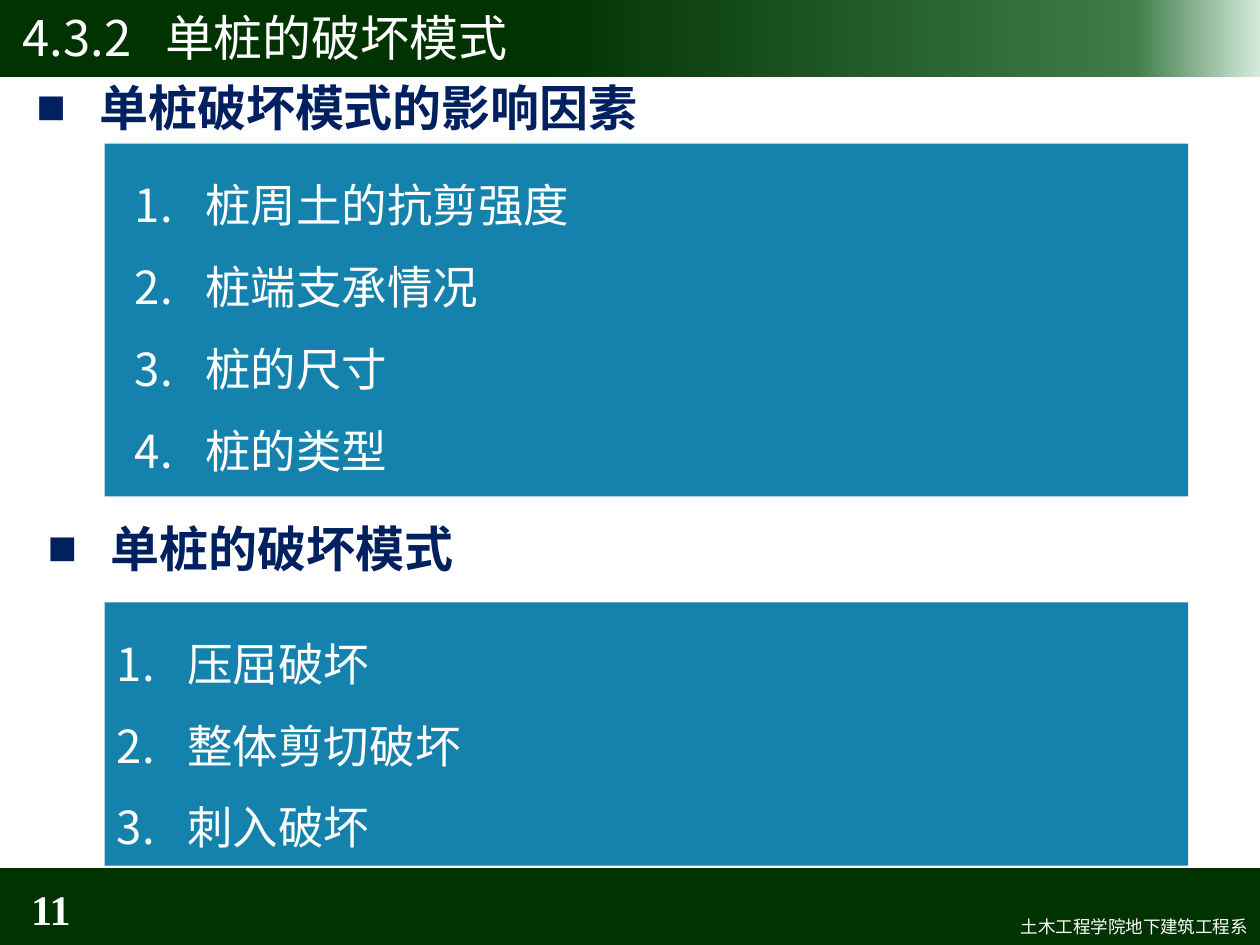
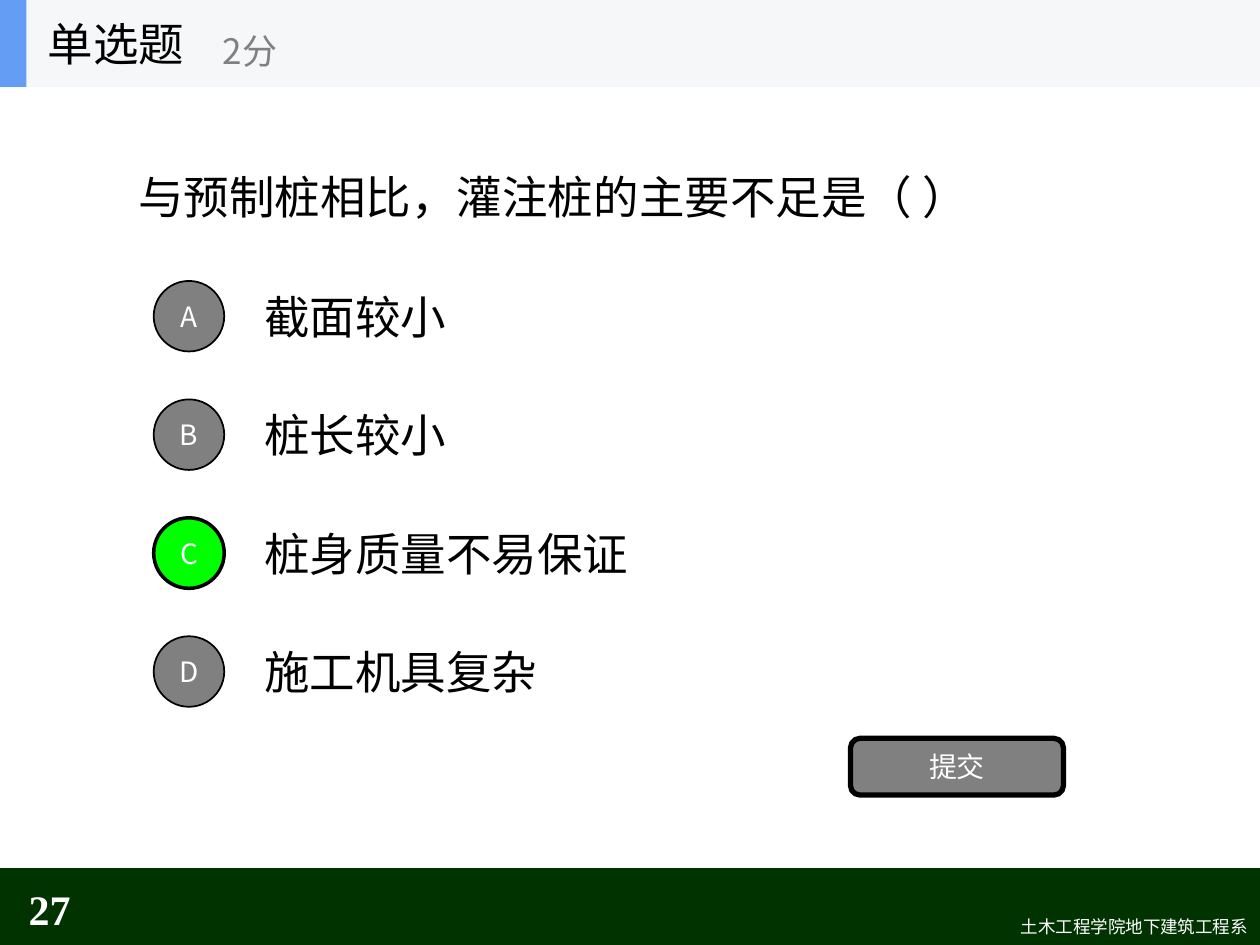
from lxml import etree
from pptx import Presentation
from pptx import util as u
from pptx.dml.color import RGBColor
from pptx.enum import shapes, text
from pptx.oxml import ns

THEME = {
    "sans": "Noto Sans CJK SC", "serif": "Times New Roman",
    "green": "003300", "panel": "1482AC", "navy": "002060", "white": "FFFFFF", "black": "000000",
    "gray": "808080", "correct": "00FF00", "pale": "F6F7F8", "accent": "639EF4",
    "header_stops": [(43, "003300"), (90, "3F7C49"), (100, "D4EBDB")],
}
STYLES = {
    "title": {"size": 28, "color": "white"},
    "heading": {"size": 28, "color": "navy", "bold": True},
    "list": {"size": 26, "color": "white", "name": "serif"},
    "question": {"size": 26, "color": "black"},
    "points": {"size": 20, "color": "gray"},
    "button": {"size": 16, "color": "white"},
    "footer": {"size": 10, "color": "white"},
    "number": {"size": 24, "color": "white", "name": "serif", "bold": True},
}
DEPARTMENT = "土木工程学院地下建筑工程系"
MODES = {
    "number": "11",
    "title": "4.3.2\t单桩的破坏模式",
    "factors": ("单桩破坏模式的影响因素", ["桩周土的抗剪强度", "桩端支承情况", "桩的尺寸", "桩的类型"]),
    "failures": ("单桩的破坏模式", ["压屈破坏", "整体剪切破坏", "刺入破坏"]),
}
QUIZ = {
    "number": "27",
    "title": "单选题",
    "points": "2分",
    "question": "与预制桩相比，灌注桩的主要不足是（ ）",
    "options": [("A", "截面较小"), ("B", "桩长较小"), ("C", "桩身质量不易保证"), ("D", "施工机具复杂")],
    "answer": "C",
    "submit": "提交",
}
SQUARE = {"tag": "a:buChar", "attributes": {"char": "■"}, "font": "serif", "indent": 0.5}
NUMBERS = {"tag": "a:buAutoNum", "attributes": {"type": "arabicPeriod"}, "font": "sans", "indent": 0.56}
LEFT, CENTER, RIGHT = text.PP_ALIGN.LEFT, text.PP_ALIGN.CENTER, text.PP_ALIGN.RIGHT
TOP, MIDDLE = text.MSO_ANCHOR.TOP, text.MSO_ANCHOR.MIDDLE


def rgb(name):
    return RGBColor.from_string(THEME[name])


def add_element(parent, tag, **attributes):
    return etree.SubElement(parent, ns.qn(tag), attributes)


def place(shape, at):
    for name, value in zip(("left", "top", "width", "height"), at):
        setattr(shape, name, u.Inches(value))


def add_bullet(para, bullet):
    properties = para._p.get_or_add_pPr()
    indent = u.Inches(bullet["indent"])
    properties.set("marL", str(indent))
    properties.set("indent", str(-indent))
    add_element(properties, "a:buFont", typeface=THEME[bullet["font"]])
    add_element(properties, bullet["tag"], **bullet["attributes"])


def write(shape, lines, style, align=LEFT, anchor=TOP, bullet=None, spacing=1.0, wrap=True, margin=0.1):
    frame = shape.text_frame
    settings = {
        "auto_size": text.MSO_AUTO_SIZE.NONE, "word_wrap": wrap, "vertical_anchor": anchor,
        "margin_left": u.Inches(margin), "margin_right": u.Inches(margin),
        "margin_top": u.Inches(0.05), "margin_bottom": u.Inches(0.05),
    }
    for name, value in settings.items():
        setattr(frame, name, value)
    for index, line in enumerate(lines):
        para = frame.add_paragraph() if index else frame.paragraphs[0]
        for name, value in {"alignment": align, "line_spacing": spacing, "space_before": u.Pt(0)}.items():
            setattr(para, name, value)
        if bullet:
            add_bullet(para, bullet)
        span = para.add_run()
        span.text = line
        look = STYLES[style]
        font = {"size": u.Pt(look["size"]), "name": THEME[look.get("name", "sans")], "bold": look.get("bold", False)}
        for name, value in font.items():
            setattr(span.font, name, value)
        span.font.color.rgb = rgb(look["color"])
        add_element(span._r.get_or_add_rPr(), "a:ea", typeface=THEME["sans"])


def add_text(page, at, lines, style, **options):
    box = page.shapes.add_textbox(*map(u.Inches, at))
    write(box, lines, style, **options)


def add_block(page, at, fill, kind=shapes.MSO_SHAPE.RECTANGLE, line=None):
    block = page.shapes.add_shape(kind, *map(u.Inches, at))
    block.shadow.inherit = False
    block.fill.solid()
    block.fill.fore_color.rgb = rgb(fill)
    if line:
        block.line.color.rgb = rgb("black")
        block.line.width = u.Pt(line)
    else:
        block.line.fill.background()
    return block


def add_header_band(page, at):
    band = add_block(page, at, "green")
    band.fill.gradient()
    band.fill.gradient_angle = 0
    stops = band.element.spPr.find(".//" + ns.qn("a:gsLst"))
    for stop in list(stops):
        stops.remove(stop)
    for position, color in THEME["header_stops"]:
        stop = add_element(stops, "a:gs", pos=str(position * 1000))
        add_element(stop, "a:srgbClr", val=color)


def raise_placeholder(page, placeholder, at):
    page.shapes.element.append(placeholder.element)
    place(placeholder, at)


def add_page(deck, layout, number):
    page = deck.slides.add_slide(deck.slide_layouts.get_by_name(layout))
    add_block(page, (0, 6.89, 10, 0.64), "green")
    add_text(page, (4.21, 7.22, 5.79, 0.27), [DEPARTMENT], "footer", align=RIGHT)
    add_text(page, (0, 7.01, 0.66, 0.4), [number], "number", align=RIGHT, anchor=MIDDLE)
    return page


def build_modes(deck):
    page = add_page(deck, "Title and Content", MODES["number"])
    band = (0, -0.03, 10, 0.64)
    add_header_band(page, band)
    title = page.shapes.title
    raise_placeholder(page, title, band)
    properties = title.text_frame.paragraphs[0]._p.get_or_add_pPr()
    tabs = add_element(properties, "a:tabLst")
    add_element(tabs, "a:tab", pos=str(u.Inches(1.13)), algn="l")
    write(title, [MODES["title"]], "title", anchor=MIDDLE, margin=0.18)

    numbered = {"bullet": NUMBERS, "spacing": 1.5}
    heading, factors = MODES["factors"]
    add_text(page, (0.19, 0.57, 9.23, 0.57), [heading], "heading", bullet=SQUARE)
    add_block(page, (0.83, 1.14, 8.6, 2.8), "panel")
    body = page.placeholders[1]
    raise_placeholder(page, body, (0.97, 1.14, 5.96, 2.65))
    write(body, factors, "list", **numbered)

    heading, failures = MODES["failures"]
    add_text(page, (0.28, 4.07, 9.23, 0.57), [heading], "heading", bullet=SQUARE)
    panel = add_block(page, (0.83, 4.78, 8.6, 2.09), "panel")
    write(panel, failures, "list", **numbered)


def build_quiz(deck):
    page = add_page(deck, "Title Only", QUIZ["number"])
    add_block(page, (0, 0, 10, 0.69), "pale")
    add_block(page, (0, 0, 0.21, 0.69), "accent")
    title = page.shapes.title
    raise_placeholder(page, title, (0.28, 0, 2.08, 0.69))
    write(title, [QUIZ["title"]], "question", anchor=MIDDLE)
    add_text(page, (1.67, 0.12, 2.5, 0.56), [QUIZ["points"]], "points", anchor=MIDDLE)
    add_text(page, (1, 0.69, 8, 1.73), [QUIZ["question"]], "question", anchor=MIDDLE)

    centered = {"align": CENTER, "anchor": MIDDLE, "margin": 0}
    for index, (letter, option) in enumerate(QUIZ["options"]):
        top = 2.16 + index * 0.94
        fill, line = ("correct", 2) if letter == QUIZ["answer"] else ("gray", 1)
        add_text(page, (2, top, 7, 0.7), [option], "question", anchor=MIDDLE)
        circle = add_block(page, (1.22, top + 0.07, 0.56, 0.56), fill, shapes.MSO_SHAPE.OVAL, line)
        write(circle, [letter], "button", wrap=False, **centered)
    submit = add_block(page, (6.75, 5.86, 1.69, 0.45), "gray", shapes.MSO_SHAPE.ROUNDED_RECTANGLE, 3)
    write(submit, [QUIZ["submit"]], "button", **centered)


def main():
    deck = Presentation()
    deck.slide_width, deck.slide_height = u.Inches(10), u.Inches(7.5)
    build_modes(deck)
    build_quiz(deck)
    deck.save("out.pptx")


if __name__ == "__main__":
    main()
